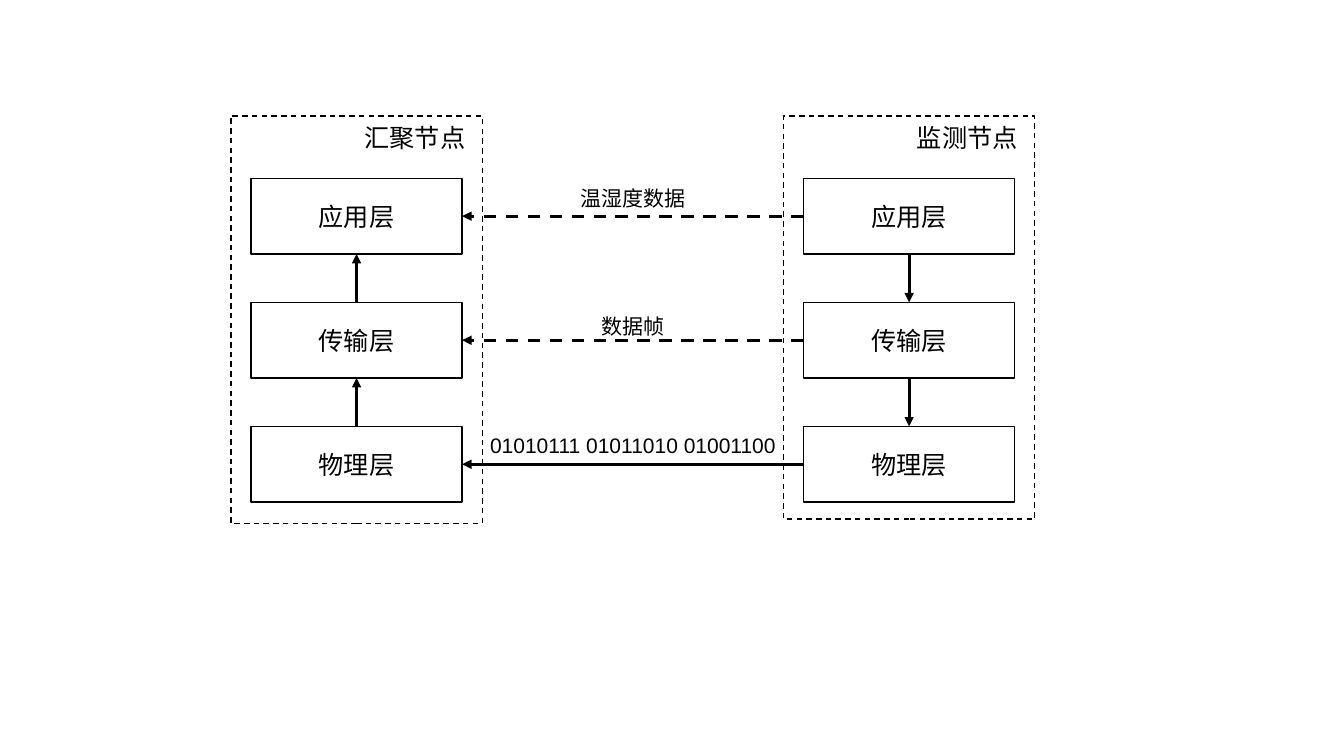
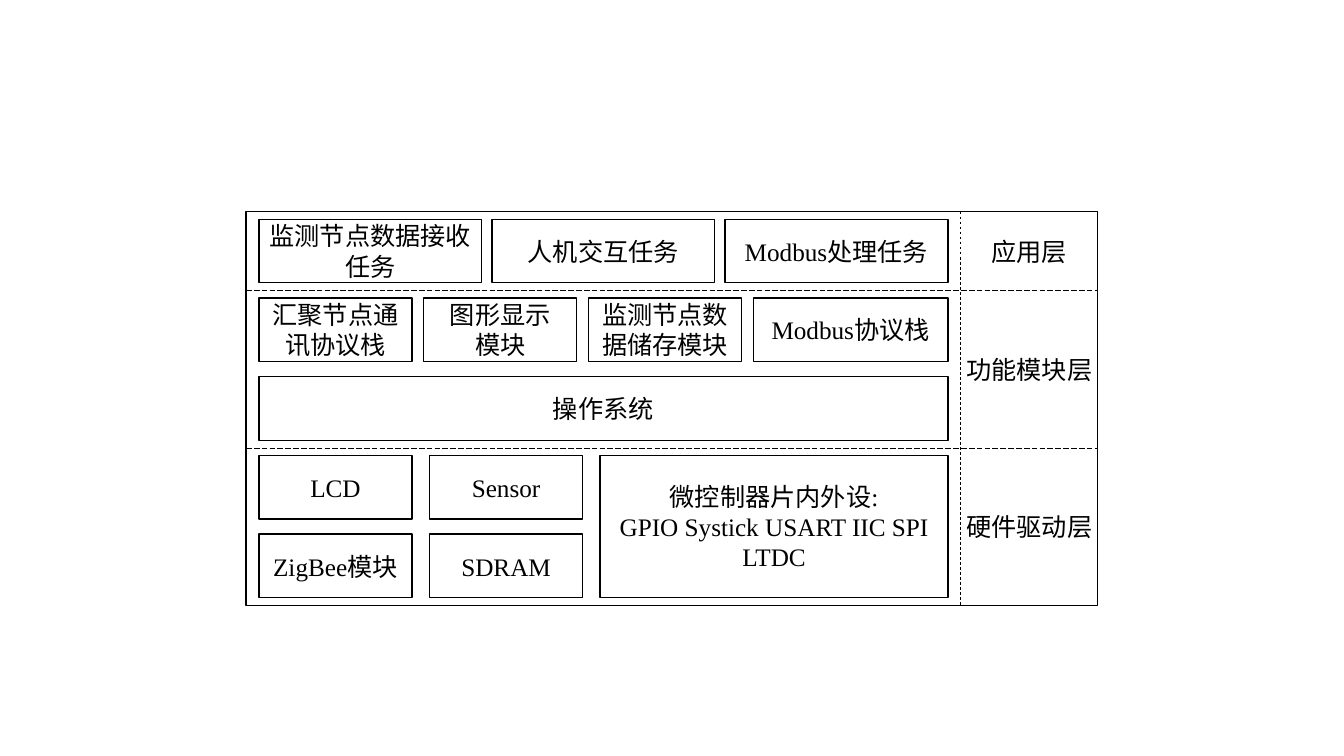
from lxml.etree import SubElement
from pptx import Presentation
from pptx.dml.color import RGBColor
from pptx.enum.dml import MSO_LINE as Dash
from pptx.enum.shapes import MSO_CONNECTOR as Connector, MSO_SHAPE as Shape
from pptx.enum.text import MSO_ANCHOR as Anchor, PP_ALIGN as Align
from pptx.oxml.ns import qn
from pptx.util import Pt

BLACK = RGBColor(0, 0, 0)
WHITE = RGBColor(255, 255, 255)
SANS, SERIF, CHINESE = "Arial", "Times New Roman", "Noto Sans CJK SC"
TEXT_SIZE, MESSAGE_SIZE = 18, 15
TOP, LEFT, BOTTOM, RIGHT = range(4)


def write(frame, text, size, font):
    """Fill a text frame with centred black lines."""
    frame.text = text
    frame.vertical_anchor = Anchor.MIDDLE
    for para in frame.paragraphs:
        para.alignment = Align.CENTER
        for span in para.runs:
            span.font.size = Pt(size)
            span.font.color.rgb = BLACK
            span.font.name = font
            SubElement(span.font._element, qn("a:ea"), typeface=CHINESE)


def add_box(page, left, top, width, height, text, font):
    """Add a white box with a thin black outline and centred text."""
    box = page.shapes.add_shape(Shape.RECTANGLE, Pt(left), Pt(top), Pt(width), Pt(height))
    box.shadow.inherit = False
    box.fill.solid()
    box.fill.fore_color.rgb = WHITE
    box.line.color.rgb = BLACK
    box.line.width = Pt(1)
    write(box.text_frame, text, TEXT_SIZE, font)
    return box


def add_frame(page, left, top, width, height, dash=None):
    """Add an unfilled outline around a region."""
    frame = add_box(page, left, top, width, height, "", SANS)
    frame.fill.background()
    frame.line.dash_style = dash


def add_label(page, centre, middle, width, text, size, font):
    """Add a one-line label around a centre point."""
    height = 1.2 * size + 7.2
    label = page.shapes.add_textbox(
        Pt(centre - width / 2), Pt(middle - height / 2), Pt(width), Pt(height))
    label.text_frame.word_wrap = False
    write(label.text_frame, text, size, font)


def add_line(page, start, end, weight, dash=None):
    """Add a straight black line between two points."""
    line = page.shapes.add_connector(
        Connector.STRAIGHT, *(Pt(value) for value in (*start, *end)))
    line.line.color.rgb = BLACK
    line.line.width = Pt(weight)
    line.line.dash_style = dash
    SubElement(line.element.spPr, qn("a:effectLst"))
    return line


def add_arrow(page, source, source_side, target, target_side, dash=None):
    """Join the sides of two boxes with an arrow."""
    arrow = add_line(page, (0, 0), (0, 0), 2.25, dash)
    arrow.begin_connect(source, source_side)
    arrow.end_connect(target, target_side)
    SubElement(arrow.element.spPr.find(qn("a:ln")), qn("a:tailEnd"), type="triangle")


def add_node(page, left, top, width, height, name):
    """Draw a protocol node and return its layer boxes from top to bottom."""
    add_frame(page, left, top, width, height, Dash.DASH)
    add_label(page, left + 131.4, top + 15.4, 87, name, TEXT_SIZE, SANS)
    margin = 14.4
    return [
        add_box(page, left + margin, top + 44.6 + 88.6 * row,
                width - 2 * margin, 54, layer, SANS)
        for row, layer in enumerate(("应用层", "传输层", "物理层"))
    ]


def add_messages(page, sinks, monitors):
    """Draw the arrows and captions between the layers of two nodes."""
    messages = (
        ("温湿度数据", 90, 12.6, Dash.DASH),
        ("数据帧", 60, 10.4, Dash.DASH),
        ("01010111 01011010 01001100", 240, 14, None),
    )
    for sink, monitor, (text, width, lift, dash) in zip(sinks, monitors, messages):
        add_arrow(page, monitor, LEFT, sink, RIGHT, dash)
        centre = (sink.left + sink.width + monitor.left) / 2
        middle = sink.top + sink.height / 2
        add_label(page, centre / Pt(1), middle / Pt(1) - lift, width,
                  text, MESSAGE_SIZE, SANS)


def build_protocol(page):
    """Draw the layered exchange between two nodes."""
    sinks = add_node(page, 164.9, 82.8, 179.6, 291, "汇聚节点")
    monitors = add_node(page, 559.6, 82.8, 179.6, 288, "监测节点")
    add_messages(page, sinks, monitors)
    for upper, lower in zip(monitors, monitors[1:]):
        add_arrow(page, upper, BOTTOM, lower, TOP)
    for upper, lower in zip(sinks, sinks[1:]):
        add_arrow(page, lower, TOP, upper, BOTTOM)


def add_modules(page, left, top, width, pitch):
    """Place rows of module boxes, justified across the given width."""
    height, small, wide, large = 45.4, 109.4, 159.2, 248.4
    hardware = (small, small, large)
    rows = (
        ((wide,) * 3, ("监测节点数据接收\n任务", "人机交互任务", "Modbus处理任务")),
        ((small, small, small, 139),
         ("汇聚节点通讯协议栈", "图形显示\n模块", "监测节点数据储存模块", "Modbus协议栈")),
        ((width,), ("操作系统",)),
        (hardware, ("LCD", "Sensor", "微控制器片内外设:\nGPIO Systick USART IIC SPI LTDC")),
        (hardware, ("ZigBee模块", "SDRAM")),
    )
    for row, (widths, names) in enumerate(rows):
        gap = (width - sum(widths)) / max(len(widths) - 1, 1)
        for column, (name, size) in enumerate(zip(names, widths)):
            x = left + sum(widths[:column]) + gap * column
            y = top + pitch * row + (pitch - height) / 2
            tall = height + pitch if size == large else height
            add_box(page, x, y, size, tall, name, SERIF)


def build_architecture(page):
    """Draw the software architecture with its three named bands."""
    left, top, width, height = 175.7, 151.2, 608.4, 281.2
    divider, pitch = left + 510.5, height / 5
    right = left + width
    add_modules(page, left + 9.2, top, 492.2, pitch)
    add_frame(page, left, top, width, height)
    add_line(page, (divider, top), (divider, top + height), 0.5, Dash.DASH)
    bands = (("应用层", 0, 1), ("功能模块层", 1, 3), ("硬件驱动层", 3, 5))
    for name, first, last in bands:
        if first:
            y = top + pitch * first
            add_line(page, (left, y), (right, y), 0.5, Dash.LONG_DASH)
        add_label(page, (divider + right) / 2, top + pitch * (first + last) / 2,
                  TEXT_SIZE * len(name) + 14.4, name, TEXT_SIZE, CHINESE)


def main():
    """Build and save the deck."""
    deck = Presentation()
    deck.slide_width, deck.slide_height = Pt(960), Pt(540)
    for build in (build_protocol, build_architecture):
        build(deck.slides.add_slide(deck.slide_layouts[6]))
    deck.save("out.pptx")


if __name__ == "__main__":
    main()
